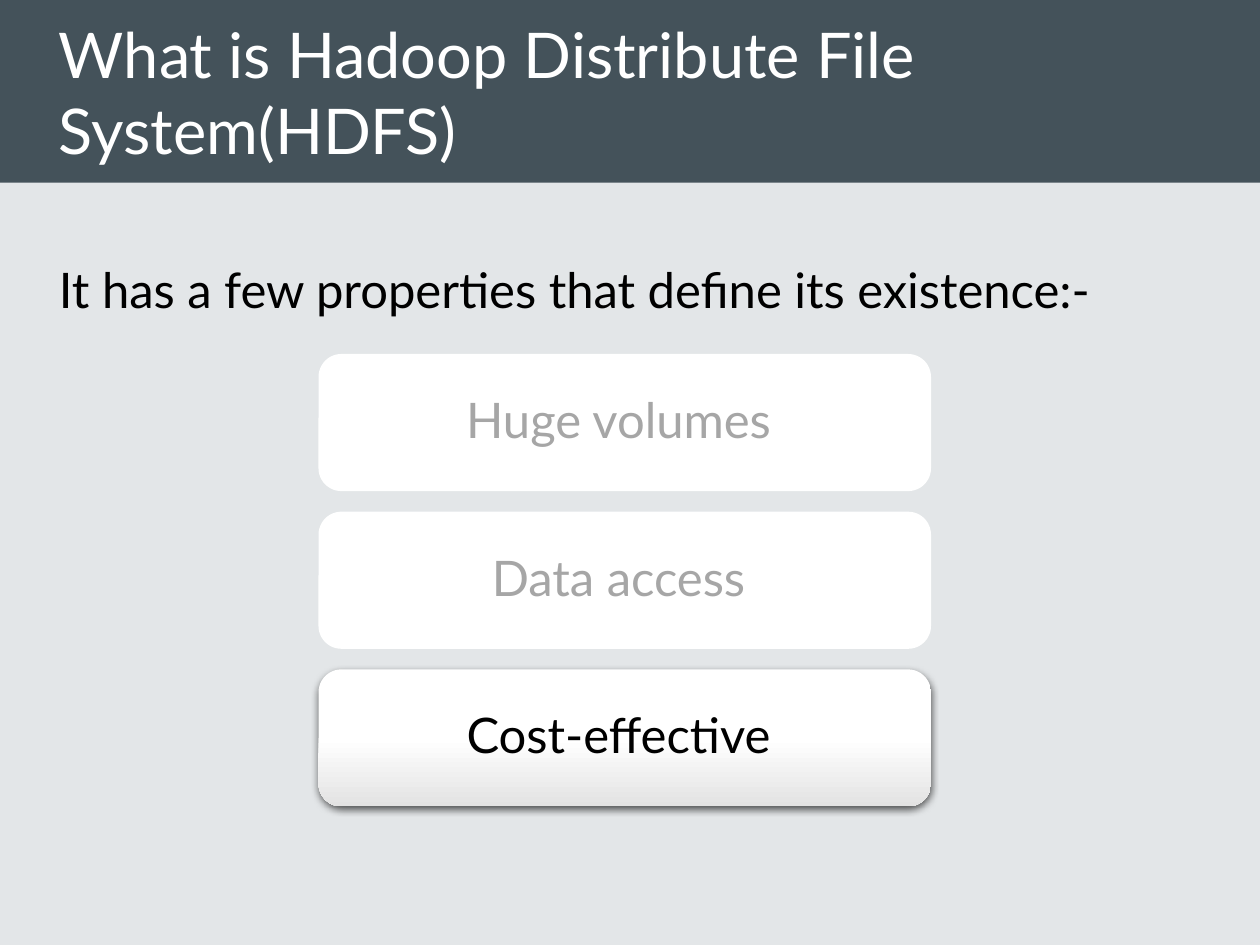
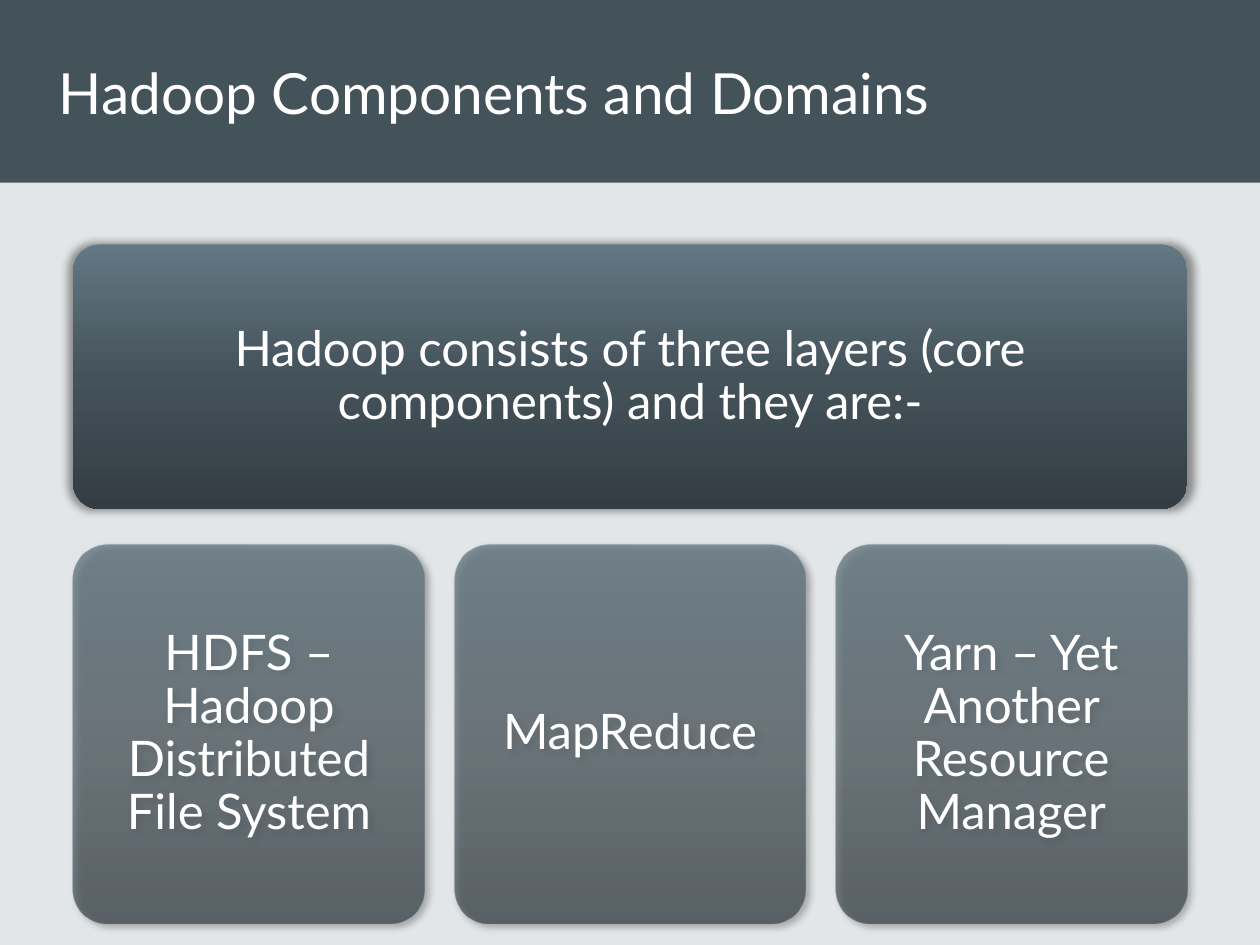
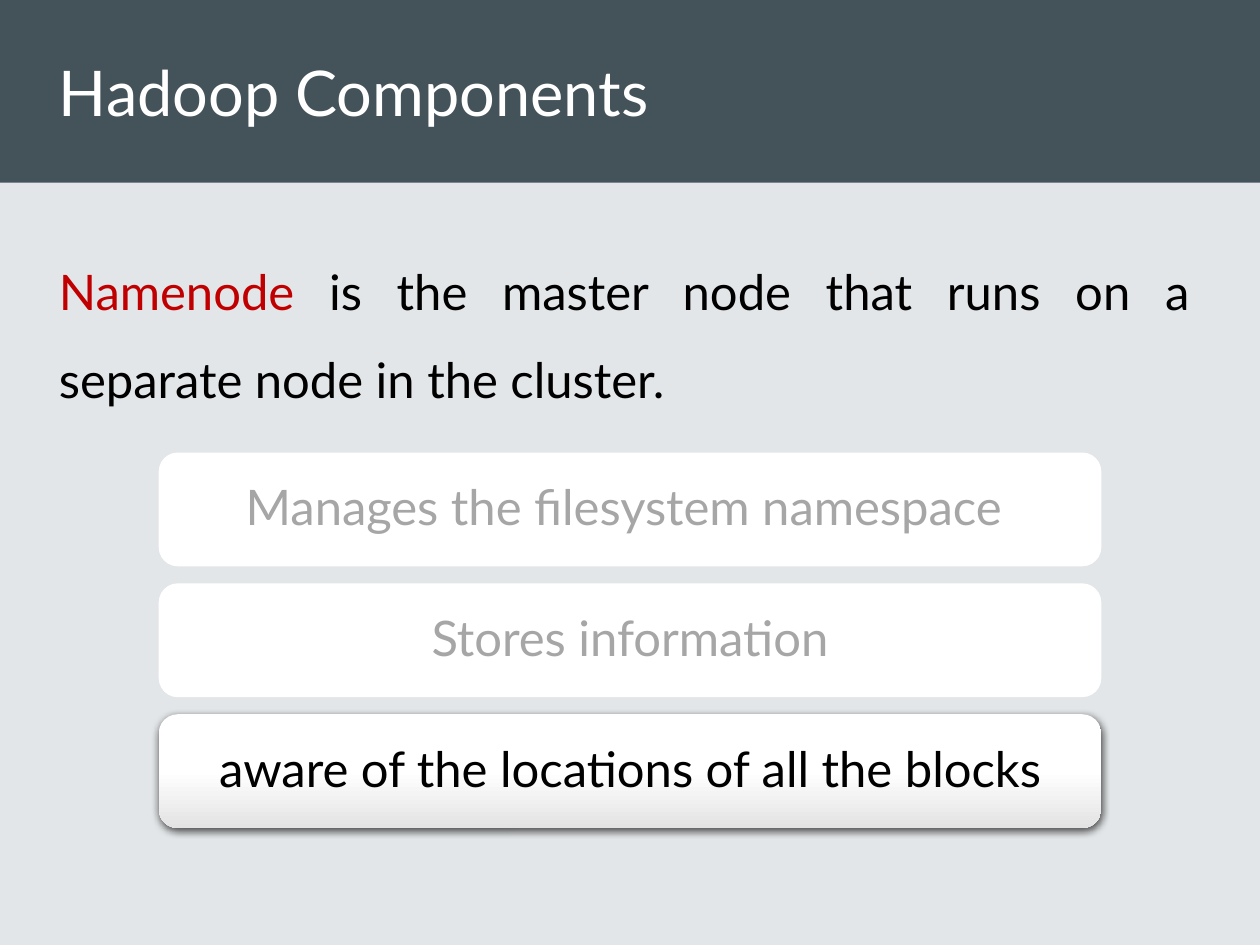
from pptx import Presentation
from pptx.dml.color import RGBColor
from pptx.enum.shapes import MSO_SHAPE as Shape
from pptx.enum.text import MSO_ANCHOR as Anchor, PP_ALIGN as Align
from pptx.oxml import parse_xml
from pptx.oxml.ns import nsdecls, qn
from pptx.util import Pt

WIDE, HIGH = 720, 540
BAND = (0, 0, WIDE, 104.4)
TITLE = (26.64, 0, 660.24, 104.4)
FONT = "Lato"
PAD = 13

SLATE = RGBColor(0x44, 0x52, 0x5A)
STEEL = RGBColor(0x63, 0x78, 0x83)
COAL = RGBColor(0x33, 0x3D, 0x43)
MIST = RGBColor(0xE3, 0xE6, 0xE8)
WHITE = RGBColor(0xFF, 0xFF, 0xFF)
SILVER = RGBColor(0xE3, 0xE3, 0xE3)
GREY = RGBColor(0xA6, 0xA6, 0xA6)
BLACK = RGBColor(0, 0, 0)
RED = RGBColor(0xC0, 0, 0)

GLOSS = [(0, WHITE, 100), (50, WHITE, 100), (100, SILVER, 100)]
DEEP = [(0, STEEL, 100), (51, SLATE, 100), (100, COAL, 100)]
GLASS = [(0, STEEL, 77), (51, SLATE, 62), (100, COAL, 67)]

DROP = {"alpha": 63, "blur": 4.5, "dist": 1.5, "turn": 90, "scale": 100}
HALO = {"alpha": 40, "blur": 5, "dist": 0, "turn": 0, "scale": 101}
CAST = {"alpha": 40, "blur": 4, "dist": 3, "turn": 45, "scale": 100}

HEAD = {"line_spacing": 1.0, "alignment": Align.LEFT}
BODY = {"line_spacing": 1.5, "alignment": Align.JUSTIFY}
LABEL = {"line_spacing": 0.9, "alignment": Align.CENTER}


def apply(item, form):
    """Set each attribute named in a dict."""
    for key, value in form.items():
        setattr(item, key, value)


def write(frame, runs, size, form, anchor=Anchor.MIDDLE):
    """Fill a text frame with one paragraph of coloured runs."""
    apply(frame, {"word_wrap": True, "vertical_anchor": anchor})
    para = frame.paragraphs[0]
    apply(para, form)
    for text, tint in runs:
        run = para.add_run()
        run.text = text
        apply(run.font, {"name": FONT, "size": Pt(size)})
        run.font.color.rgb = tint


def block(slide, kind, box, tint):
    """Add a plain shape without line or shadow."""
    item = slide.shapes.add_shape(kind, *map(Pt, box))
    item.fill.solid()
    item.fill.fore_color.rgb = tint
    item.line.fill.background()
    item.shadow.inherit = False
    return item


def shade(item, stops):
    """Replace a solid fill with a gradient from top to bottom."""
    marks = "".join(
        f'<a:gs pos="{pos * 1000}"><a:srgbClr val="{tint}">'
        f'<a:alpha val="{alpha * 1000}"/></a:srgbClr></a:gs>'
        for pos, tint, alpha in stops)
    grad = parse_xml(
        f'<a:gradFill {nsdecls("a")} rotWithShape="1"><a:gsLst>{marks}</a:gsLst>'
        '<a:lin ang="5400000" scaled="0"/></a:gradFill>')
    props = item.element.spPr
    props.replace(props.find(qn("a:solidFill")), grad)


def lift(item, alpha, blur, dist, turn, scale):
    """Give a shape an outer shadow."""
    item.element.spPr.find(qn("a:effectLst")).append(parse_xml(
        f'<a:outerShdw {nsdecls("a")} blurRad="{Pt(blur)}" dist="{Pt(dist)}" '
        f'dir="{turn * 60000}" sx="{scale * 1000}" sy="{scale * 1000}" '
        'algn="ctr" rotWithShape="0"><a:srgbClr val="000000">'
        f'<a:alpha val="{alpha * 1000}"/></a:srgbClr></a:outerShdw>'))


def tile(slide, box, text, ink, curve, stops=None, cast=None):
    """Add a rounded tile with a centred label."""
    item = block(slide, Shape.ROUNDED_RECTANGLE, box, WHITE)
    item.adjustments[0] = curve
    if stops:
        shade(item, stops)
    if cast:
        lift(item, **cast)
    pad = Pt(PAD - 0.29 * curve * min(box[2:]))
    sides = ("left", "right", "top", "bottom")
    apply(item.text_frame, {f"margin_{side}": pad for side in sides})
    write(item.text_frame, [(text, ink)], 28, LABEL)


def stack(slide, box, names):
    """Stack tiles in a box, with the last one raised."""
    left, top, width, height = box
    tall = height / (len(names) * 1.15 - 0.15)
    for row, name in enumerate(names):
        spot = (left, top + row * tall * 1.15, width, tall)
        look = (BLACK, 1 / 6, GLOSS, DROP) if row == len(names) - 1 else (GREY, 1 / 6)
        tile(slide, spot, name, *look)


def cards(slide, box, names, gap=16.9):
    """Set glass cards side by side in a box."""
    left, top, width, height = box
    wide = (width - gap * (len(names) - 1)) / len(names)
    for col, name in enumerate(names):
        spot = (left + col * (wide + gap), top, wide, height)
        tile(slide, spot, name, WHITE, 0.1, GLASS, CAST)


def words(slide, box, runs, size, form, anchor):
    """Add a text box."""
    item = slide.shapes.add_textbox(*map(Pt, box))
    write(item.text_frame, runs, size, form, anchor)


def start(deck, title, size=36):
    """Add a slide with its background, band and title."""
    slide = deck.slides.add_slide(deck.slide_layouts[6])
    slide.background.fill.solid()
    slide.background.fill.fore_color.rgb = MIST
    block(slide, Shape.RECTANGLE, BAND, SLATE)
    words(slide, TITLE, [(title, WHITE)], size, HEAD, Anchor.MIDDLE)
    return slide


def listing(deck, title, runs, lead, box, names):
    """Build a slide with a lead text above stacked tiles."""
    slide = start(deck, title)
    words(slide, lead, runs, 28, BODY, Anchor.TOP)
    stack(slide, box, names)


def layers(deck, title, lead, names):
    """Build a slide with a wide tile above a row of cards."""
    slide = start(deck, title, 32.4)
    tile(slide, (41.8, 139.7, 636.5, 151.2), lead, WHITE, 0.1, DEEP, HALO)
    cards(slide, (41.8, 311, 636.5, 216.7), names)


def main():
    """Build and save the deck."""
    deck = Presentation()
    apply(deck, {"slide_width": Pt(WIDE), "slide_height": Pt(HIGH)})
    listing(deck, "What is Hadoop Distribute File System(HDFS)",
            [("It has a few properties that define its existence:-", BLACK)],
            (26.64, 128.2, 660.24, 73.4), (182, 202.3, 350, 258.6),
            ["Huge volumes ", "Data access ", "Cost-effective "])
    layers(deck, "Hadoop Components and Domains",
           "Hadoop consists of three layers (core components) and they are:-",
           ["HDFS – Hadoop Distributed File System", "MapReduce",
            "Yarn – Yet Another Resource Manager"])
    listing(deck, "Hadoop Components",
            [("Namenode", RED),
             (" is the master node that runs on a separate node in the cluster.", BLACK)],
            (26.64, 128.9, 660.24, 104.4), (90.7, 258.6, 538.6, 214.6),
            ["Manages the filesystem namespace ", "Stores information",
             "aware of the locations of all the blocks"])
    deck.save("out.pptx")


if __name__ == "__main__":
    main()
